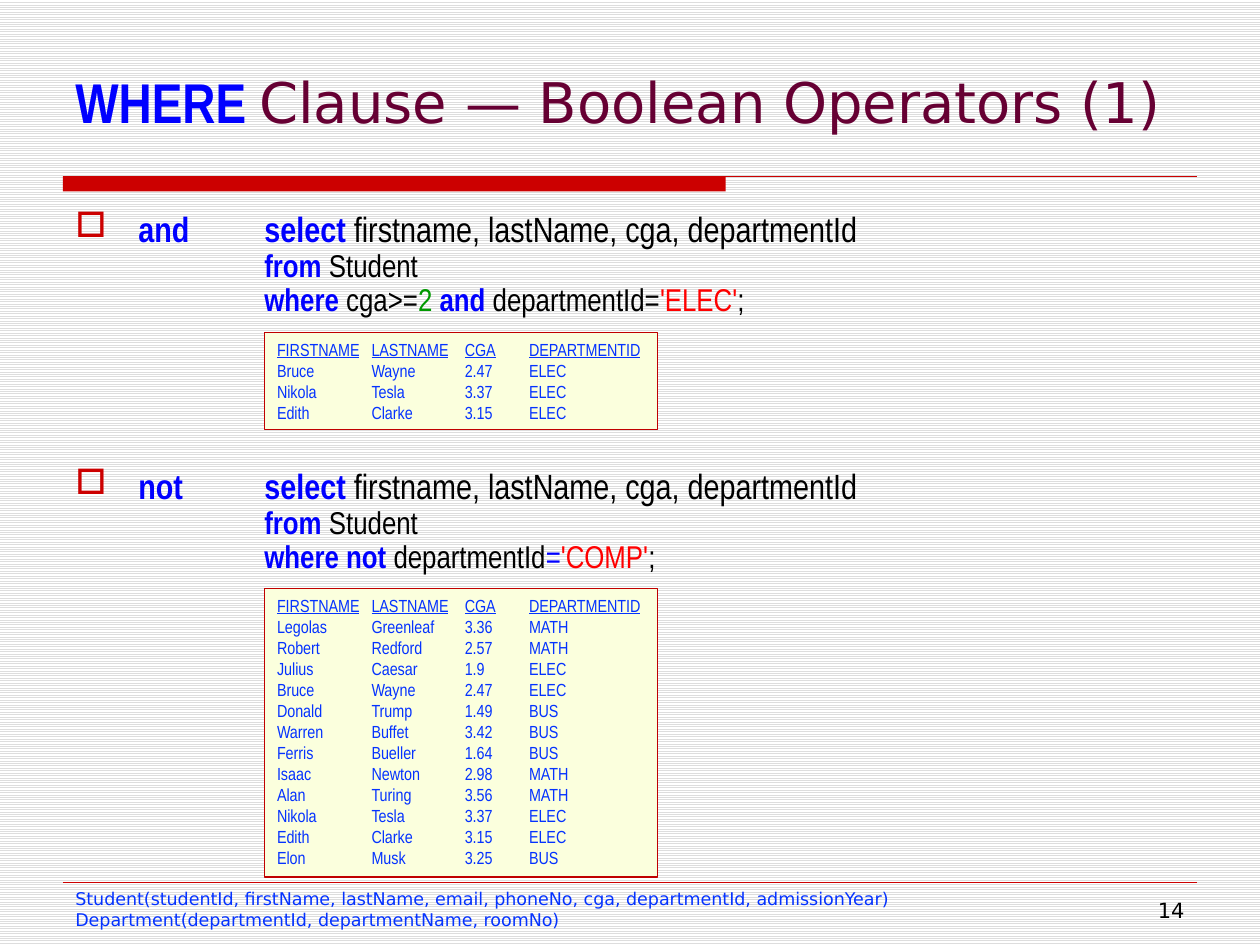
import pptx
import pptx.util
import pptx.dml.color
import pptx.enum.dml
import pptx.enum.shapes
import pptx.enum.text
import pptx.oxml.ns
import lxml.etree

Inches, Pt = pptx.util.Inches, pptx.util.Pt
ANCHOR = pptx.enum.text.MSO_ANCHOR
ALIGN = pptx.enum.text.PP_ALIGN
AUTO_SIZE = pptx.enum.text.MSO_AUTO_SIZE
WIDTH, HEIGHT = 10, 7.5
MARGIN = 0.5
CONTENT = WIDTH - 2 * MARGIN
NARROW, SANS = "Arial Narrow", "DejaVu Sans"
COLORS = {
    "keyword": "0000FF", "plain": "000000", "number": "009900", "string": "FF0000",
    "title": "660033", "rule": "CC0000", "box": "FBFFDD", "box_line": "C00000",
    "data": "0432FF", "stripe": "DDDDDD", "paper": "FFFFFF",
}
RESULT_TABS = (0.75, 1.49, 2)
HEADER = ("FIRSTNAME", "LASTNAME", "CGA", "DEPARTMENTID")


def color(name):
    return pptx.dml.color.RGBColor.from_string(COLORS[name])


def add_run(paragraph, text, size, font, tone, bold=False, underline=False):
    run = paragraph.add_run()
    run.text = text
    run.font.size, run.font.name = Pt(size), font
    run.font.bold, run.font.underline = bold, underline
    run.font.color.rgb = color(tone)


def add_element(parent, tag, **attributes):
    element = lxml.etree.SubElement(parent, pptx.oxml.ns.qn(tag))
    for name, value in attributes.items():
        element.set(name, str(value))
    return element


def add_tabs(paragraph, stops):
    tab_list = add_element(paragraph._p.get_or_add_pPr(), "a:tabLst")
    for stop in stops:
        add_element(tab_list, "a:tab", pos=int(Inches(stop)), algn="l")


def set_indent(paragraph, left, first):
    properties = paragraph._p.get_or_add_pPr()
    properties.set("marL", str(int(Inches(left))))
    properties.set("indent", str(int(Inches(first))))
    return properties


def add_paragraph(frame, index):
    return frame.add_paragraph() if index else frame.paragraphs[0]


def add_text_box(slide, box, anchor=ANCHOR.TOP, wrap=True):
    frame = slide.shapes.add_textbox(*map(Inches, box)).text_frame
    frame.word_wrap, frame.vertical_anchor = wrap, anchor
    return frame


def add_rule(slide, top, weight):
    line = slide.shapes.add_connector(
        pptx.enum.shapes.MSO_CONNECTOR.STRAIGHT,
        Inches(MARGIN), Inches(top), Inches(WIDTH - MARGIN), Inches(top))
    line.line.color.rgb, line.line.width = color("rule"), Pt(weight)
    add_element(line._element.spPr, "a:effectLst")


def add_rectangle(slide, box, fill):
    shape = slide.shapes.add_shape(
        pptx.enum.shapes.MSO_SHAPE.RECTANGLE, *map(Inches, box))
    shape.shadow.inherit = False
    shape.fill.solid()
    shape.fill.fore_color.rgb = color(fill)
    return shape


def add_backdrop(slide):
    fill = slide.background.fill
    fill.patterned()
    fill.pattern = pptx.enum.dml.MSO_PATTERN.LIGHT_HORIZONTAL
    fill.fore_color.rgb, fill.back_color.rgb = color("stripe"), color("paper")
    bar = add_rectangle(slide, (MARGIN, 1.4, 5.26, 0.12), "rule")
    bar.line.fill.background()
    add_rule(slide, 1.4, 0.75)
    add_rule(slide, 7, 0.25)


def add_title(slide, box):
    paragraph = add_text_box(slide, box, ANCHOR.MIDDLE).paragraphs[0]
    add_run(paragraph, "WHERE ", 32, NARROW, "keyword", bold=True)
    add_run(paragraph, "Clause — Boolean Operators (1)", 32, SANS, "title")


def add_queries(slide, box, queries):
    """Each query: operator, space before, and the pieces of its where line."""
    frame = add_text_box(slide, box)
    for number, (operator, space, condition) in enumerate(queries):
        lines = (
            ((f"{operator}\tselect ", "keyword"),
             ("firstname, lastName, cga, departmentId", "plain")),
            (("from ", "keyword"), ("Student", "plain")),
            condition,
        )
        for row, pieces in enumerate(lines):
            paragraph = add_paragraph(frame, number + row)
            if row == 0:
                paragraph.space_before = Pt(space)
                properties = set_indent(paragraph, 0.5, -0.5)
                bullet_color = add_element(properties, "a:buClr")
                add_element(bullet_color, "a:srgbClr", val=COLORS["rule"])
                add_element(properties, "a:buChar", char="□")
                add_tabs(paragraph, [1.5])
            else:
                paragraph.level = 1
                paragraph.line_spacing = 0.9
                set_indent(paragraph, 1.5, 0)
            for text, tone, *weight in pieces:
                bold = weight[0] if weight else tone == "keyword"
                add_run(paragraph, text, 18 if row else 20, NARROW, tone, bold)


def add_result(slide, box, rows):
    shape = add_rectangle(slide, box, "box")
    shape.line.color.rgb, shape.line.width = color("box_line"), Pt(0.75)
    frame = shape.text_frame
    frame.word_wrap, frame.vertical_anchor = False, ANCHOR.TOP
    frame.auto_size = AUTO_SIZE.SHAPE_TO_FIT_TEXT
    for index, row in enumerate((HEADER, *rows)):
        paragraph = add_paragraph(frame, index)
        paragraph.alignment = ALIGN.LEFT
        add_tabs(paragraph, RESULT_TABS)
        add_run(paragraph, "\t".join(row), 10, NARROW, "data", underline=index == 0)


def add_footer(slide, schema_box, number_box):
    frame = add_text_box(slide, schema_box, wrap=False)
    frame.auto_size = AUTO_SIZE.SHAPE_TO_FIT_TEXT
    schemas = (
        "Student(studentId, firstName, lastName, email, phoneNo, cga, "
        "departmentId, admissionYear)",
        "Department(departmentId, departmentName, roomNo)",
    )
    for index, schema in enumerate(schemas):
        add_run(add_paragraph(frame, index), schema, 10, SANS, "data")
    paragraph = add_text_box(slide, number_box, ANCHOR.MIDDLE).paragraphs[0]
    paragraph.alignment = ALIGN.RIGHT
    add_run(paragraph, "14", 12, SANS, "plain")


# Content
QUERIES = (
    ("and", 18, (("where ", "keyword"), ("cga>=", "plain"), ("2 ", "number"),
                 ("and ", "keyword"), ("departmentId=", "plain"),
                 ("'ELEC'", "string"), (";", "plain"))),
    ("not", 84, (("where not ", "keyword"), ("departmentId", "plain"),
                 ("=", "keyword", False), ("'COMP'", "string"), (";", "plain"))),
)
BRUCE = ("Bruce", "Wayne", "2.47", "ELEC")
NIKOLA = ("Nikola", "Tesla", "3.37", "ELEC")
EDITH = ("Edith", "Clarke", "3.15", "ELEC")
NOT_COMP = (
    ("Legolas", "Greenleaf", "3.36", "MATH"), ("Robert", "Redford", "2.57", "MATH"),
    ("Julius", "Caesar", "1.9", "ELEC"), BRUCE,
    ("Donald", "Trump", "1.49", "BUS"), ("Warren", "Buffet", "3.42", "BUS"),
    ("Ferris", "Bueller", "1.64", "BUS"), ("Isaac", "Newton", "2.98", "MATH"),
    ("Alan", "Turing", "3.56", "MATH"), NIKOLA, EDITH,
    ("Elon", "Musk", "3.25", "BUS"),
)

# Slide
presentation = pptx.Presentation()
presentation.slide_width, presentation.slide_height = Inches(WIDTH), Inches(HEIGHT)
slide = presentation.slides.add_slide(presentation.slide_layouts[6])
add_backdrop(slide)
add_title(slide, (MARGIN, 0.3, CONTENT, 1))
add_queries(slide, (MARGIN, 1.6, CONTENT, 5.3), QUERIES)
add_result(slide, (2.1, 2.64, 3.12, 0.77), (BRUCE, NIKOLA, EDITH))
add_result(slide, (2.1, 4.67, 3.12, 2.29), NOT_COMP)
add_footer(slide, (MARGIN, 7, 6.87, 0.44), (7.33, 7.1, 2.17, 0.25))
presentation.save("out.pptx")
